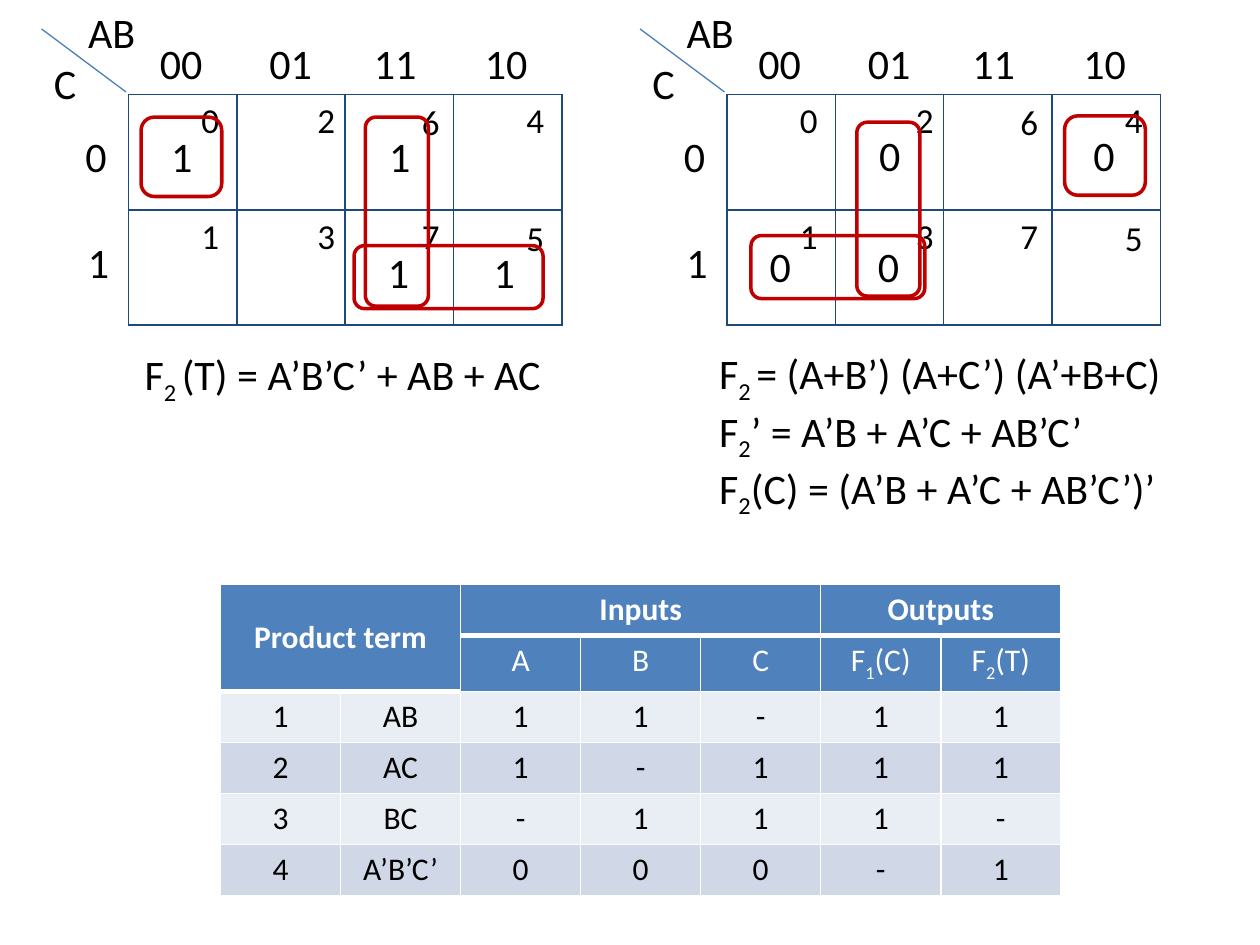
from lxml import etree
from pptx import Presentation
from pptx.dml.color import RGBColor
from pptx.enum.shapes import MSO_CONNECTOR, MSO_SHAPE
from pptx.enum.text import MSO_ANCHOR, MSO_AUTO_SIZE, PP_ALIGN
from pptx.oxml.ns import qn
from pptx.util import Inches, Pt

LINE = MSO_CONNECTOR.STRAIGHT
ROUNDED = MSO_SHAPE.ROUNDED_RECTANGLE
MIDDLE = MSO_ANCHOR.MIDDLE
FIT = MSO_AUTO_SIZE.SHAPE_TO_FIT_TEXT
CENTER = PP_ALIGN.CENTER

FONT = "Calibri"
BLACK = RGBColor(0, 0, 0)
WHITE = RGBColor(255, 255, 255)
RED = RGBColor(0xC0, 0, 0)
NAVY = RGBColor(0x1F, 0x49, 0x7D)
DIAGONAL = RGBColor(0x4B, 0x7E, 0xBC)
HEADER = RGBColor(0x4F, 0x81, 0xBD)
BANDS = [RGBColor(0xE9, 0xED, 0xF4), RGBColor(0xD0, 0xD8, 0xE8)]

AXIS_LABELS = [
    ("AB", 0.6, 0, 0.58), ("C", 0.33, 0.41, 0.38),
    ("00", 1.17, 0.25, 0.54), ("01", 2.04, 0.25, 0.54),
    ("11", 2.87, 0.25, 0.54), ("10", 3.75, 0.25, 0.54),
    ("0", 0.58, 0.99, 0.37), ("1", 0.6, 1.83, 0.37),
]
CELL_NUMBERS = [
    ("0", 1.5, 0.73), ("1", 1.5, 1.65), ("2", 2.42, 0.73), ("3", 2.42, 1.65),
    ("6", 3.25, 0.75), ("7", 3.25, 1.65), ("4", 4.08, 0.73), ("5", 4.08, 1.67),
]
MAPS = [
    {
        "left": 0,
        "marks": [("1", 3.82, 1.91), ("1", 1.26, 0.99), ("1", 2.98, 1.91), ("1", 2.99, 0.99)],
        "loops": [(2.9, 0.93, 0.5, 1.5, 0), (3.31, 1.45, 0.5, 1.5, 90), (1.12, 0.93, 0.64, 0.63, 0)],
        "formulas": ["F|2 |(T) = A’B’C’ + AB + AC"],
        "box": (1.05, 2.72, 3.44, 0.5),
    },
    {
        "left": 4.75,
        "marks": [("0", 6.88, 0.98), ("0", 6.87, 1.86), ("0", 8.58, 0.98), ("0", 6.01, 1.86)],
        "loops": [(5.96, 1.87, 1.38, 0.5, 0), (6.36, 1.41, 1.38, 0.5, 90), (8.45, 0.92, 0.64, 0.63, 0)],
        "formulas": ["F|2 |= (A+B’) (A+C’) (A’+B+C)", "F|2|’ = A’B + A’C + AB’C’",
                     "F|2|(C) = (A’B + A’C + AB’C’)’"],
        "box": (5.61, 2.71, 3.77, 1.31),
    },
]
PLA_ROWS = [
    ["Product term", "", "Inputs", "", "", "Outputs", ""],
    ["", "", "A", "B", "C", "F|1|(C)", "F|2|(T)"],
    ["1", "AB", "1", "1", "-", "1", "1"],
    ["2", "AC", "1", "-", "1", "1", "1"],
    ["3", "BC", "-", "1", "1", "1", "-"],
    ["4", "A’B’C’", "0", "0", "0", "-", "1"],
]
MERGES = [((0, 0), (1, 1)), ((0, 2), (0, 4)), ((0, 5), (0, 6))]


def write(p, text, size, color=BLACK, bold=False):
    for i, part in enumerate(text.split("|")):
        r = p.add_run()
        r.text = part
        r.font.name, r.font.size, r.font.bold = FONT, Pt(size), bold
        r.font.color.rgb = color
        if i % 2:
            r.font._element.set("baseline", "-25000")


def add_text(s, lines, box, size=24, wrap=False):
    tf = s.shapes.add_textbox(*map(Inches, box)).text_frame
    tf.word_wrap = wrap
    tf.auto_size = FIT
    for i, line in enumerate(lines):
        write(tf.add_paragraph() if i else tf.paragraphs[0], line, size)


def add_grid(s, rows, cols, box):
    tbl = s.shapes.add_table(rows, cols, *map(Inches, box)).table
    tbl.first_row = tbl.horz_banding = False
    for col in tbl.columns:
        col.width = Inches(box[2] / cols)
    for row in tbl.rows:
        row.height = Inches(box[3] / rows)
    return tbl


def set_borders(cell, color, top=1, bottom=1):
    tcPr = cell._tc.get_or_add_tcPr()
    for tag, width in (("a:lnL", 1), ("a:lnR", 1), ("a:lnT", top), ("a:lnB", bottom)):
        ln = etree.SubElement(tcPr, qn(tag), w=str(Pt(width)))
        fill = etree.SubElement(ln, qn("a:solidFill"))
        etree.SubElement(fill, qn("a:srgbClr"), val=str(color))


def add_map(s, kmap):
    x = kmap["left"]
    tbl = add_grid(s, 2, 4, (x + 1.02, 0.75, 3.44, 1.83))
    for cell in tbl.iter_cells():
        set_borders(cell, NAVY)
        cell.fill.background()
    line = s.shapes.add_connector(LINE, *map(Inches, (x + 1, 0.73, x + 0.33, 0.23)))
    line.line.color.rgb = DIAGONAL
    line.line.width = Pt(0.75)
    etree.SubElement(line._element.spPr, qn("a:effectLst"))
    for text, left, top, width in AXIS_LABELS:
        add_text(s, [text], (x + left, top, width, 0.5))
    for text, left, top in CELL_NUMBERS:
        add_text(s, [text], (x + left, top, 0.34, 0.44), 20)
    for text, left, top in kmap["marks"]:
        add_text(s, [text], (left, top, 0.37, 0.5))
    for *box, angle in kmap["loops"]:
        sp = s.shapes.add_shape(ROUNDED, *map(Inches, box))
        sp.shadow.inherit = False
        sp.rotation = angle
        sp.fill.background()
        sp.line.color.rgb = RED
        sp.line.width = Pt(2)
    add_text(s, kmap["formulas"], kmap["box"], wrap=True)


def add_pla_table(s):
    tbl = add_grid(s, len(PLA_ROWS), len(PLA_ROWS[0]), (1.75, 4.64, 6.67, 2.43))
    for start, end in MERGES:
        tbl.cell(*start).merge(tbl.cell(*end))
    for i, row in enumerate(PLA_ROWS):
        for j, text in enumerate(row):
            cell = tbl.cell(i, j)
            rule_row = 1 if j < 2 else 0
            set_borders(cell, WHITE, top=3 if i == rule_row + 1 else 1,
                        bottom=3 if i in (0, rule_row) else 1)
            cell.fill.solid()
            cell.fill.fore_color.rgb = HEADER if i < 2 else BANDS[i % 2]
            if text:
                p = cell.text_frame.paragraphs[0]
                p.alignment = CENTER
                write(p, text, 18, WHITE if i < 2 else BLACK, i == 0)
    tbl.cell(0, 0).vertical_anchor = MIDDLE


def main():
    prs = Presentation()
    prs.slide_width, prs.slide_height = Inches(10), Inches(7.5)
    s = prs.slides.add_slide(prs.slide_layouts[6])
    for kmap in MAPS:
        add_map(s, kmap)
    add_pla_table(s)
    prs.save("out.pptx")


if __name__ == "__main__":
    main()
